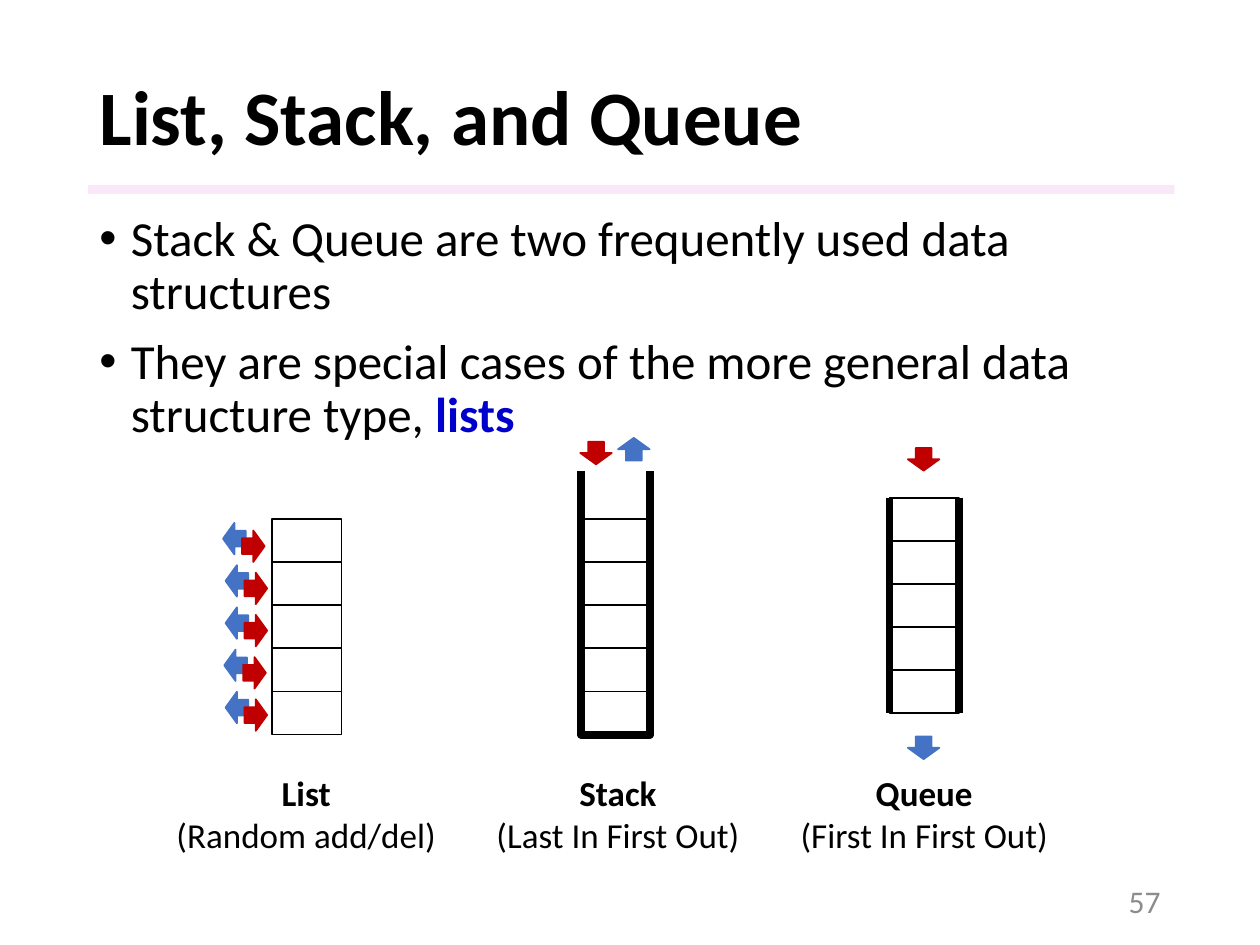
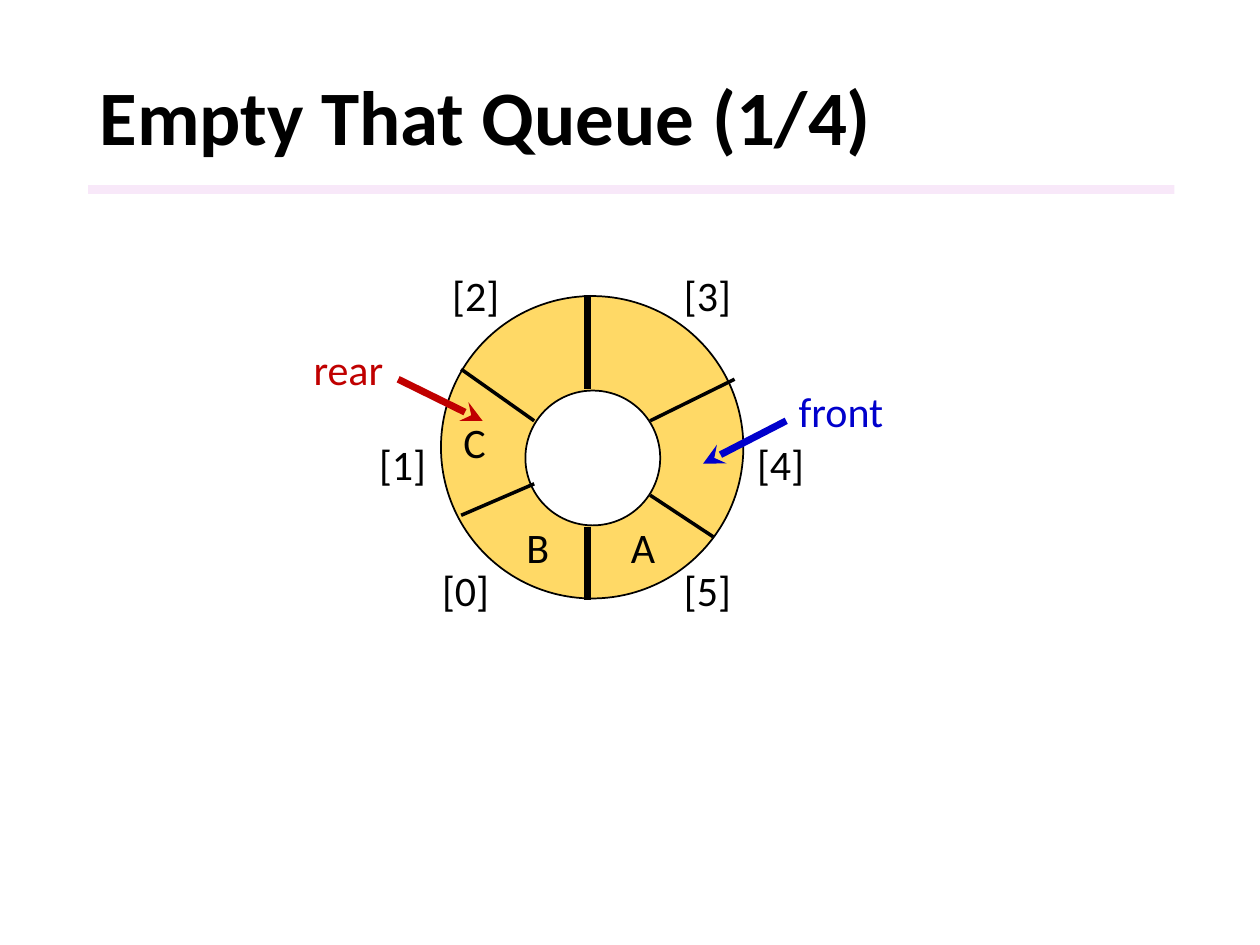
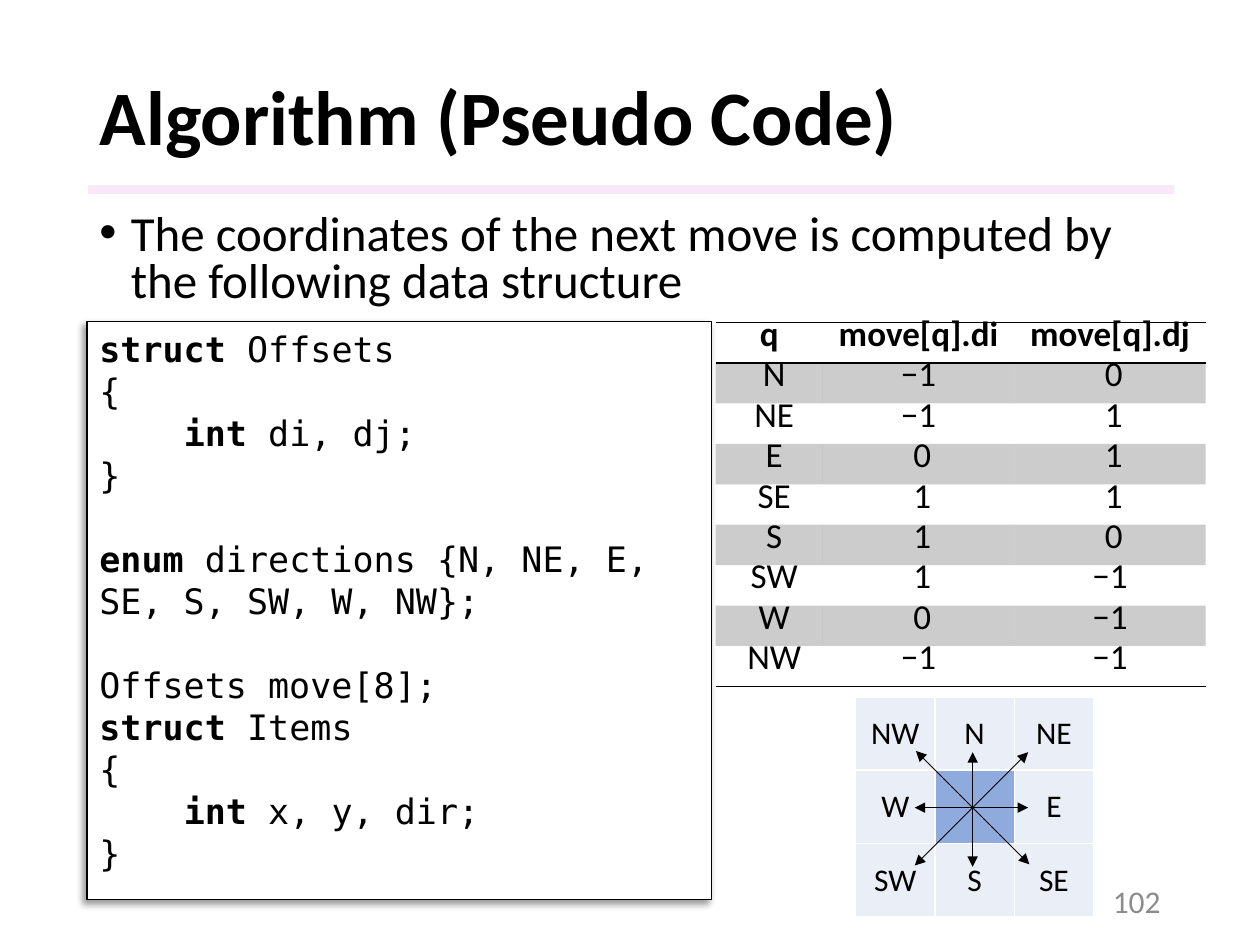
"""Build three slides on lists, stacks, queues and maze moves."""
from lxml.etree import SubElement
from pptx import Presentation
from pptx.dml.color import RGBColor
from pptx.enum.shapes import MSO_CONNECTOR, MSO_SHAPE
from pptx.enum.text import MSO_ANCHOR, MSO_AUTO_SIZE, PP_ALIGN
from pptx.oxml.ns import qn
from pptx.util import Inches, Pt

FONT, CODE_FONT = "Calibri", "DejaVu Sans Mono"
BLACK, WHITE, GRAY, BAND = "000000", "FFFFFF", "8C8C8C", "F3D2F4"
RED, BLUE, ACCENT = "C00000", "4472C4", "0000CC"
GOLD, PALE, CENTER = "FFD966", "EAEFF7", "8FAADC"
NO_STYLE = "{2D5ABB26-0587-4C30-8999-92F81FD0307C}"

CODE = [
    "*struct* Offsets", "{", "    *int* di, dj;", "}",
    "*enum* directions {N, NE, E, SE, S, SW, W, NW};",
    "Offsets move[8];", "*struct* Items", "{", "    *int* x, y, dir;", "}",
]
MOVES = [
    ("q", "move[q].di", "move[q].dj"),
    ("N", "−1", "0"), ("NE", "−1", "1"), ("E", "0", "1"), ("SE", "1", "1"),
    ("S", "1", "0"), ("SW", "1", "−1"), ("W", "0", "−1"), ("NW", "−1", "−1"),
]
COMPASS = [("NW", "N", "NE"), ("W", "", "E"), ("SW", "S", "SE")]


def rgb(color):
    """Turn a hex string into a colour."""
    return RGBColor.from_string(color)


def paint(fill, color):
    """Give a fill one solid colour, or none."""
    if color is None:
        fill.background()
    else:
        fill.solid()
        fill.fore_color.rgb = rgb(color)


def set_alpha(element, percent):
    """Make the first solid colour in an element translucent."""
    clr = next(element.iter(qn("a:srgbClr")))
    SubElement(clr, qn("a:alpha"), val=str(percent * 1000))


def style_paragraph(p, size, color=BLACK, bold=False, font=FONT, align=PP_ALIGN.LEFT):
    """Format a paragraph and its runs."""
    p.alignment = align
    for r in p.runs:
        r.font.name, r.font.size, r.font.bold = font, Pt(size), bold
        r.font.color.rgb = rgb(color)


def write(tf, lines, size, bold_color=None, **style):
    """Write one paragraph per line, with *marked* words in bold."""
    for i, line in enumerate(lines):
        p = tf.add_paragraph() if i else tf.paragraphs[0]
        parts = line.split("*")
        for part in filter(None, parts):
            p.add_run().text = part
        style_paragraph(p, size, **style)
        for r in p.runs:
            if r.text in parts[1::2]:
                r.font.bold = True
                if bold_color:
                    r.font.color.rgb = rgb(bold_color)


def add_text(s, box, lines, size, wrap=True, **style):
    """Add a text box."""
    tf = s.shapes.add_textbox(*map(Inches, box)).text_frame
    tf.word_wrap = wrap
    write(tf, lines, size, **style)
    return tf


def add_bullets(s, height, lines, spacing):
    """Add the bulleted body text."""
    tf = add_text(s, (0.69, 1.65, 8.62, height), lines, 28, bold_color=ACCENT)
    for i, p in enumerate(tf.paragraphs):
        pPr = p._p.get_or_add_pPr()
        pPr.set("marL", str(Inches(0.25)))
        pPr.set("indent", str(-Inches(0.25)))
        SubElement(pPr, qn("a:buFont"), typeface="Arial")
        SubElement(pPr, qn("a:buChar"), char="•")
        p.line_spacing = spacing
        p.space_before = Pt(10 if i else 0)


def add_box(s, kind, box, fill, line=BLACK, width=1, rotation=0):
    """Add a preset shape."""
    sp = s.shapes.add_shape(kind, *map(Inches, box))
    sp.shadow.inherit = False
    sp.rotation = rotation
    paint(sp.fill, fill)
    paint(sp.line.fill, line)
    if line:
        sp.line.width = Pt(width)
    return sp


def add_arrow(s, left, top, color, rotation=0):
    """Add a small block arrow."""
    add_box(s, MSO_SHAPE.RIGHT_ARROW, (left, top, 0.18, 0.25), color, color, 1, rotation)


def add_line(s, points, width, color=BLACK, head=None, tail=None):
    """Add a straight line with optional arrowheads."""
    line = s.shapes.add_connector(MSO_CONNECTOR.STRAIGHT, *map(Inches, points))
    line.line.color.rgb = rgb(color)
    line.line.width = Pt(width)
    for end, kind in (("a:headEnd", head), ("a:tailEnd", tail)):
        if kind:
            SubElement(line.get_or_add_ln(), qn(end), type=kind)
    SubElement(line.element.spPr, qn("a:effectLst"))


def add_slide(prs, title, number=None):
    """Add a slide with the title, band and page number."""
    s = prs.slides.add_slide(prs.slide_layouts[5])
    band = add_box(s, MSO_SHAPE.RECTANGLE, (0.7, 1.47, 8.62, 0.07), BAND, None)
    set_alpha(band.element.spPr, 50)
    sp = s.shapes.title
    sp.left, sp.top, sp.width, sp.height = map(Inches, (0.69, 0.4, 8.62, 1.11))
    tf = sp.text_frame
    tf.text = title
    tf.auto_size = MSO_AUTO_SIZE.NONE
    tf.vertical_anchor = MSO_ANCHOR.MIDDLE
    style_paragraph(tf.paragraphs[0], 44, bold=True)
    tf.paragraphs[0].line_spacing = 0.9
    if number:
        tf = add_text(s, (7.06, 6.95, 2.25, 0.4), [number], 18,
                      color=GRAY, align=PP_ALIGN.RIGHT)
        tf.vertical_anchor = MSO_ANCHOR.MIDDLE
    return s


def add_cells(s, left, top):
    """Stack five equal cells."""
    height = 1.71 / 5
    for i in range(5):
        add_box(s, MSO_SHAPE.RECTANGLE, (left, top + i * height, 0.55, height), WHITE)


def add_caption(s, left, width, name, rule):
    """Add the name and rule below a structure."""
    add_text(s, (left, 6.07, width, 0.77), [f"*{name}*", rule], 20, wrap=False,
             align=PP_ALIGN.CENTER)


def add_borders(tc, sides, color):
    """Draw one-point borders on the given sides of a cell."""
    for side in sides:
        ln = SubElement(tc.get_or_add_tcPr(), qn(f"a:ln{side}"), w=str(Pt(1)))
        SubElement(SubElement(ln, qn("a:solidFill")), qn("a:srgbClr"), val=color)


def add_grid(s, rows, box, widths):
    """Add an unstyled table and yield its cells with row, column and XML."""
    frame = s.shapes.add_table(len(rows), len(widths), *map(Inches, box))
    table = frame.table
    table.first_row = table.horz_banding = False
    frame.element.find(".//" + qn("a:tableStyleId")).text = NO_STYLE
    for column, width in zip(table.columns, widths):
        column.width = Inches(width)
    for i, (cell, tc) in enumerate(zip(table.iter_cells(), frame.element.iter(qn("a:tc")))):
        row, col = divmod(i, len(widths))
        cell.text = rows[row][col]
        cell.vertical_anchor = MSO_ANCHOR.MIDDLE
        yield row, col, cell, tc


def add_moves(s):
    """Add the table of move offsets."""
    for row, col, cell, tc in add_grid(s, MOVES, (5.68, 2.56, 3.89, 2.89), (0.85, 1.52, 1.52)):
        cell.margin_left = cell.margin_right = Inches(0.07)
        cell.margin_top = cell.margin_bottom = 0
        p = cell.text_frame.paragraphs[0]
        style_paragraph(p, 20, bold=row == 0, align=PP_ALIGN.CENTER)
        p.line_spacing = Pt(15)
        if row and not cell.text.startswith("−"):
            p._p.get_or_add_pPr().set("indent", str(Inches(0.06 if col else 0.08)))
        add_borders(tc, {0: "TB", len(MOVES) - 1: "B"}.get(row, ""), BLACK)
        paint(cell.fill, BLACK if row % 2 else None)
        if row % 2:
            set_alpha(tc.tcPr, 20)


def add_compass(s):
    """Add the eight directions around the current position."""
    for row, col, cell, tc in add_grid(s, COMPASS, (6.79, 5.53, 1.88, 1.75), [0.63] * 3):
        style_paragraph(cell.text_frame.paragraphs[0], 18, align=PP_ALIGN.CENTER)
        add_borders(tc, "LRTB", WHITE)
        paint(cell.fill, CENTER if row == col == 1 else PALE)
    for points in ((7.72, 6.88, 7.72, 5.97), (7.26, 6.41, 8.16, 6.41),
                   (7.26, 6.87, 8.16, 5.97), (7.27, 5.96, 8.17, 6.86)):
        add_line(s, points, 0.5, head="triangle", tail="triangle")


def add_code(s):
    """Add the shadowed code panel."""
    sp = add_box(s, MSO_SHAPE.RECTANGLE, (0.69, 2.55, 4.96, 4.59), WHITE, width=0.75)
    effects = sp.element.spPr.find(qn("a:effectLst"))
    shadow = SubElement(effects, qn("a:outerShdw"), blurRad=str(Pt(4)), dist=str(Pt(3)),
                        dir=str(135 * 60000), algn="tr", rotWithShape="0")
    SubElement(shadow, qn("a:srgbClr"), val=BLACK)
    set_alpha(effects, 40)
    tf = sp.text_frame
    tf.word_wrap = True
    tf.vertical_anchor = MSO_ANCHOR.TOP
    write(tf, CODE, 20, font=CODE_FONT)
    for p in tf.paragraphs:
        if p.text.startswith(("enum", "Offsets")):
            p.space_before = Pt(24)


def structures_slide(prs):
    """Compare list, stack and queue."""
    s = add_slide(prs, "List, Stack, and Queue", "57")
    add_bullets(s, 2.01, [
        "Stack & Queue are two frequently used data structures",
        "They are special cases of the more general data structure type, *lists*"], 0.9)

    add_cells(s, 4.61, 4.12)
    fb = s.shapes.build_freeform(Inches(4.61), Inches(3.74))
    fb.add_line_segments([(Inches(x), Inches(y)) for x, y in
                          ((4.61, 5.83), (5.16, 5.83), (5.16, 3.74))], close=False)
    wall = fb.convert_to_shape()
    wall.shadow.inherit = False
    wall.fill.background()
    wall.line.color.rgb = rgb(BLACK)
    wall.line.width = Pt(4.5)
    add_caption(s, 3.83, 2.15, "Stack", "(Last In First Out)")
    add_arrow(s, 4.64, 3.47, RED, 90)
    add_arrow(s, 4.94, 3.44, BLUE, 270)

    add_cells(s, 7.06, 3.95)
    add_caption(s, 6.24, 2.19, "Queue", "(First In First Out)")
    for x in (7.06, 7.61):
        add_line(s, (x, 3.95, x, 5.66), 4.5)
    for y, color in ((3.52, RED), (5.81, BLUE)):
        add_arrow(s, 7.24, y, color, 90)

    add_cells(s, 2.16, 4.12)
    add_caption(s, 1.29, 2.28, "List", "(Random add/del)")
    for i, x in enumerate((1.77, 1.79, 1.79, 1.78, 1.79)):
        y = 4.15 + i * 1.34 / 4
        add_arrow(s, x, y, BLUE, 180)
        add_arrow(s, x + 0.15, y + 0.06, RED)


def ring_slide(prs):
    """Show the circular queue."""
    s = add_slide(prs, "Empty That Queue (1/4)")
    add_box(s, MSO_SHAPE.OVAL, (3.5, 2.35, 2.4, 2.4), GOLD)
    add_box(s, MSO_SHAPE.OVAL, (4.17, 3.1, 1.07, 1.07), WHITE)
    for points in ((4.66, 2.34, 4.66, 3.09), (4.66, 4.18, 4.66, 4.76)):
        add_line(s, points, 4)
    for points in ((3.66, 2.93, 4.24, 3.34), (4.24, 3.84, 3.66, 4.09),
                   (5.16, 3.34, 5.83, 3.01), (5.16, 3.93, 5.66, 4.26)):
        add_line(s, points, 2)
    slots = ((3.41, 4.43), (2.91, 3.43), (3.49, 2.09),
             (5.33, 2.09), (5.91, 3.43), (5.33, 4.43))
    for i, (x, y) in enumerate(slots):
        add_text(s, (x, y, 0.92, 0.5), [f"[{i}]"], 24)
    for item, x, y in (("A", 4.91, 4.09), ("B", 4.08, 4.09), ("C", 3.58, 3.26)):
        add_text(s, (x, y, 0.67, 0.5), [item], 24)
    for name, x, y, color, points in (
            ("front", 6.24, 3.01, ACCENT, (6.24, 3.34, 5.58, 3.68)),
            ("rear", 2.39, 2.68, RED, (3.16, 3.01, 3.83, 3.34))):
        add_text(s, (x, y, 1, 0.51), [name], 24, color=color)
        add_line(s, points, 4, color, tail="stealth")


def algorithm_slide(prs):
    """Show the move table and its data structure."""
    s = add_slide(prs, "Algorithm (Pseudo Code)", "102")
    add_bullets(s, 0.89, ["The coordinates of the next move is computed by "
                          "the following data structure"], 0.8)
    add_moves(s)
    add_code(s)
    add_compass(s)


def main():
    """Build and save the slides."""
    prs = Presentation()
    prs.slide_width, prs.slide_height = Inches(10), Inches(7.5)
    structures_slide(prs)
    ring_slide(prs)
    algorithm_slide(prs)
    prs.save("out.pptx")


if __name__ == "__main__":
    main()
